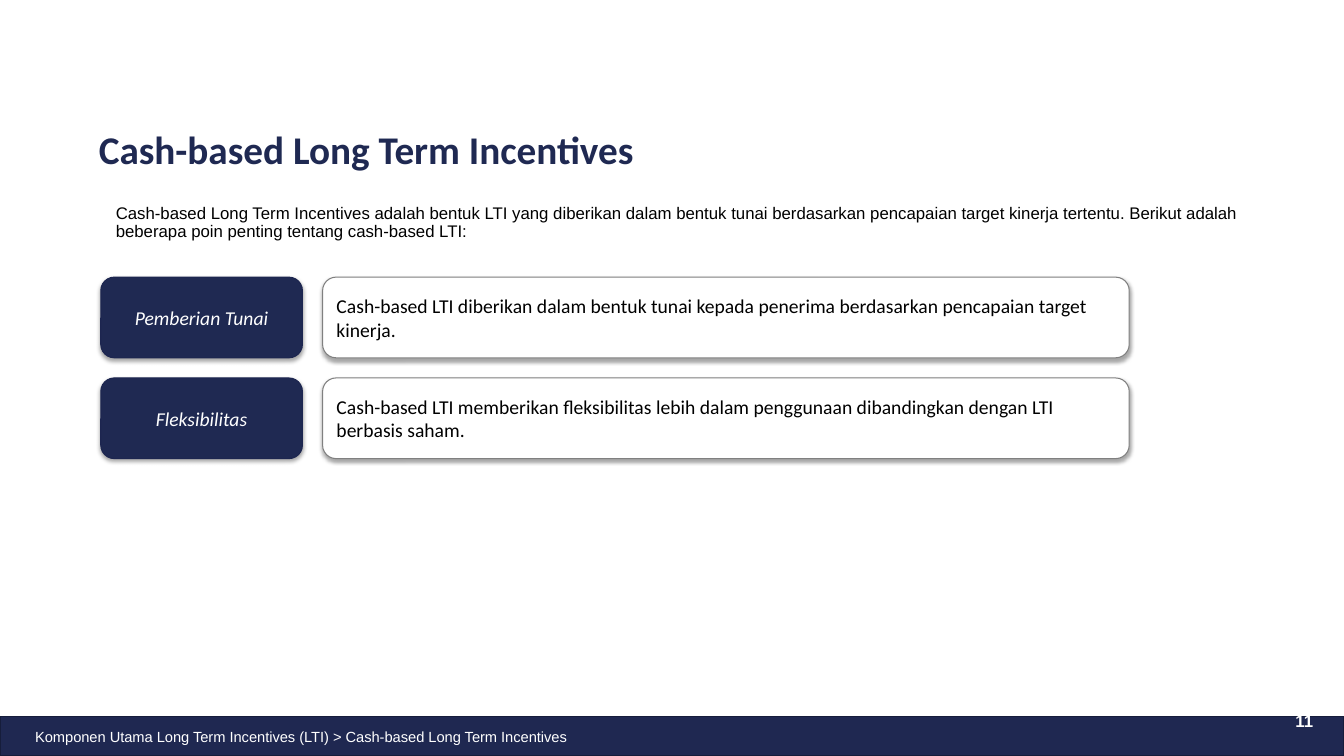
from dataclasses import dataclass

from lxml import etree
from pptx import Presentation
from pptx.dml.color import RGBColor
from pptx.enum.shapes import MSO_SHAPE
from pptx.enum.text import MSO_ANCHOR, PP_ALIGN
from pptx.oxml.ns import qn
from pptx.shapes.autoshape import Shape
from pptx.slide import Slide
from pptx.text.text import TextFrame
from pptx.util import Inches, Pt

RECT, ROUND = MSO_SHAPE.RECTANGLE, MSO_SHAPE.ROUNDED_RECTANGLE
TOP, MIDDLE = MSO_ANCHOR.TOP, MSO_ANCHOR.MIDDLE
LEFT, CENTER = PP_ALIGN.LEFT, PP_ALIGN.CENTER

NAVY = RGBColor(0x1F, 0x29, 0x52)
EDGE = RGBColor(0x1D, 0x26, 0x50)
BAR = RGBColor(0x1F, 0x28, 0x51)
RIM = RGBColor(0x16, 0x1D, 0x3B)
GRAY = RGBColor(0x80, 0x80, 0x80)
WHITE = RGBColor(0xFF, 0xFF, 0xFF)
BLACK = RGBColor(0, 0, 0)

COL, ROW = Inches(0.2), Inches(0.25)
WIDE, HIGH = 66.65, 30
FIRST, STEP, TALL = 11, 4, 3.2


@dataclass(frozen=True)
class Area:
    """A place on the slide, in columns and rows."""
    col: float
    row: float
    cols: float
    rows: float

    def box(self) -> tuple[int, int, int, int]:
        return (int(self.col * COL), int(self.row * ROW),
                int(self.cols * COL), int(self.rows * ROW))


@dataclass(frozen=True)
class Style:
    size: float
    color: RGBColor
    font: str = "Arial"
    bold: bool = False
    italic: bool = False
    align: PP_ALIGN = LEFT
    anchor: MSO_ANCHOR = TOP
    indent: float = 0
    line: float = 1.0


@dataclass(frozen=True)
class Note:
    text: str
    area: Area
    style: Style


@dataclass(frozen=True)
class Card:
    """The look of one column of rounded boxes."""
    col: float
    cols: float
    fill: RGBColor
    edge: RGBColor
    style: Style


HEAD = Note("Cash-based Long Term Incentives", Area(4.4, 4.52, 59, 3.04),
            Style(28, NAVY, "Calibri", bold=True, anchor=MIDDLE, line=0.9))
NOTES = [
    Note("Komponen Utama Long Term Incentives (LTI) > "
         "Cash-based Long Term Incentives", Area(0, 28.44, 59.6, 1.6),
         Style(10.5, WHITE, anchor=MIDDLE, indent=0.25)),
    Note("11", Area(62.9, 28.08, 3.3, 2.28),
         Style(12, WHITE, bold=True, indent=0.17, line=0.9)),
    Note("Cash-based Long Term Incentives adalah bentuk LTI yang diberikan "
         "dalam bentuk tunai berdasarkan pencapaian target kinerja tertentu. "
         "Berikut adalah beberapa poin penting tentang cash-based LTI:",
         Area(4.4, 7.92, 59, 1.64),
         Style(12, BLACK, indent=0.17, line=0.9)),
]
CARDS = [
    Card(5, 10, NAVY, EDGE, Style(14, WHITE, "Calibri", italic=True,
                                  align=CENTER, anchor=MIDDLE)),
    Card(16, 40, WHITE, GRAY, Style(14, BLACK, "Calibri", anchor=MIDDLE)),
]
POINTS = [
    ("Pemberian Tunai",
     "Cash-based LTI diberikan dalam bentuk tunai kepada penerima "
     "berdasarkan pencapaian target kinerja."),
    ("Fleksibilitas",
     "Cash-based LTI memberikan fleksibilitas lebih dalam penggunaan "
     "dibandingkan dengan LTI berbasis saham."),
]


def write(frame: TextFrame, text: str, style: Style) -> None:
    frame.word_wrap = True
    frame.vertical_anchor = style.anchor
    para = frame.paragraphs[0]
    para.alignment = style.align
    para.line_spacing = style.line
    if style.indent:
        para._p.get_or_add_pPr().set("marL", str(Inches(style.indent)))
    run = para.add_run()
    run.text = text
    font = run.font
    font.name, font.size = style.font, Pt(style.size)
    font.bold, font.italic = style.bold, style.italic
    font.color.rgb = style.color


def block(slide: Slide, kind: MSO_SHAPE, area: Area, fill: RGBColor,
          edge: RGBColor, width: float) -> Shape:
    shape = slide.shapes.add_shape(kind, *area.box())
    shape.shadow.inherit = False
    shape.fill.solid()
    shape.fill.fore_color.rgb = fill
    shape.line.color.rgb = edge
    shape.line.width = Pt(width)
    return shape


def shade(shape: Shape) -> None:
    """Give the shape a soft black shadow straight below it."""
    effects = shape._element.spPr.find(qn("a:effectLst"))
    outer = etree.SubElement(effects, qn("a:outerShdw"), {
        "blurRad": str(Pt(3.1)), "dist": str(Pt(1.8)),
        "dir": "5400000", "rotWithShape": "0"})
    color = etree.SubElement(outer, qn("a:srgbClr"), val=str(BLACK))
    etree.SubElement(color, qn("a:alpha"), val="35000")


def main() -> None:
    deck = Presentation()
    deck.slide_width, deck.slide_height = int(WIDE * COL), HIGH * ROW
    slide = deck.slides.add_slide(deck.slide_layouts[5])

    title = slide.shapes.title
    title.left, title.top, title.width, title.height = HEAD.area.box()
    write(title.text_frame, HEAD.text, HEAD.style)

    block(slide, RECT, Area(0, 28.44, WIDE, 1.56), BAR, RIM, 1)
    for note in NOTES:
        text = slide.shapes.add_textbox(*note.area.box())
        write(text.text_frame, note.text, note.style)

    for i, point in enumerate(POINTS):
        for card, text in zip(CARDS, point):
            area = Area(card.col, FIRST + i * STEP, card.cols, TALL)
            shape = block(slide, ROUND, area, card.fill, card.edge, 0.75)
            shade(shape)
            write(shape.text_frame, text, card.style)

    deck.save("out.pptx")


if __name__ == "__main__":
    main()
